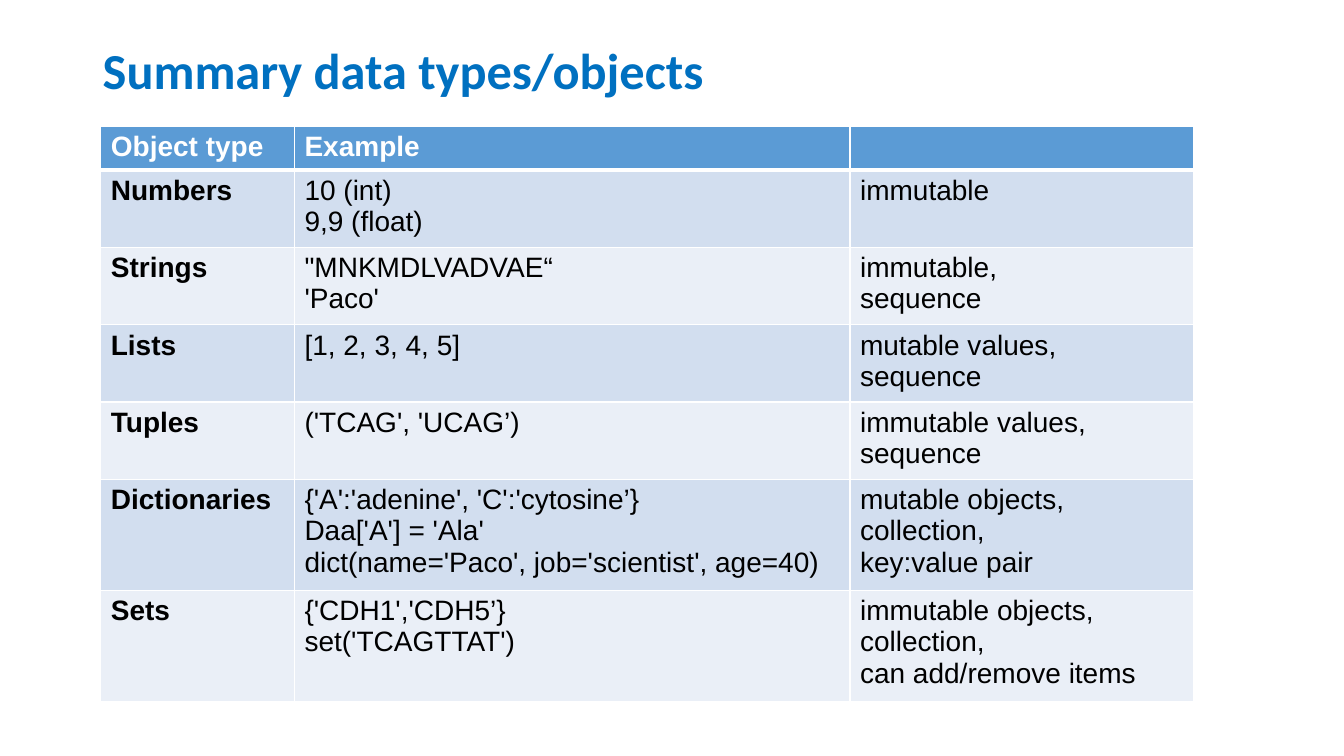
from typing import NamedTuple

from lxml.etree import SubElement
from pptx import Presentation
from pptx.dml.color import RGBColor
from pptx.enum.text import MSO_ANCHOR
from pptx.oxml.ns import qn
from pptx.util import Cm, Pt

BLUE = RGBColor(0x00, 0x70, 0xC0)
HEADER = RGBColor(0x5B, 0x9B, 0xD5)
BAND_DARK = RGBColor(0xD2, 0xDE, 0xEF)
BAND_LIGHT = RGBColor(0xEA, 0xEF, 0xF7)
WHITE = RGBColor(0xFF, 0xFF, 0xFF)
BLACK = RGBColor(0x00, 0x00, 0x00)


class DataType(NamedTuple):
    name: str
    examples: list[str]
    traits: list[str]
    height: float


COLUMN_WIDTHS = [4.88, 14.0, 8.66]
ROWS = [
    DataType("Object type", ["Example"], [], 1.09),
    DataType("Numbers", ["10 (int)", "9,9 (float)"], ["immutable"], 1.84),
    DataType("Strings", ['"MNKMDLVADVAE“', "'Paco'"],
             ["immutable,", "sequence"], 1.84),
    DataType("Lists", ["[1, 2, 3, 4, 5]"],
             ["mutable values,", "sequence"], 1.91),
    DataType("Tuples", ["('TCAG', 'UCAG’)"],
             ["immutable values,", "sequence"], 1.91),
    DataType("Dictionaries",
             ["{'A':'adenine', 'C':'cytosine’}", "Daa['A'] = 'Ala'",
              "dict(name='Paco', job='scientist', age=40)"],
             ["mutable objects,", "collection,", "key:value pair"], 2.62),
    DataType("Sets", ["{'CDH1','CDH5’}", "set('TCAGTTAT')"],
             ["immutable objects,", "collection,", "can add/remove items"], 2.62),
]


def add_run(p, text: str, font: str, size: int, color: RGBColor, bold: bool) -> None:
    r = p.add_run()
    r.text = text
    r.font.name = font
    r.font.size = Pt(size)
    r.font.color.rgb = color
    r.font.bold = bold


def add_border(cell, side: str, width: float) -> None:
    ln = SubElement(cell._tc.get_or_add_tcPr(), qn(f"a:ln{side}"), w=str(Pt(width)))
    fill = SubElement(ln, qn("a:solidFill"))
    SubElement(fill, qn("a:srgbClr"), val=str(WHITE))


def fill_cell(cell, lines: list[str], row: int, bold: bool) -> None:
    top = 3 if row == 1 else 1
    bottom = 3 if row == 0 else 1
    for side, width in zip("LRTB", (1, 1, top, bottom)):
        add_border(cell, side, width)
    cell.fill.solid()
    band = BAND_DARK if row % 2 else BAND_LIGHT
    cell.fill.fore_color.rgb = band if row else HEADER
    tf = cell.text_frame
    for i, line in enumerate(lines):
        p = tf.add_paragraph() if i else tf.paragraphs[0]
        add_run(p, line, "Arial", 20, BLACK if row else WHITE, bold)


def add_title(s, text: str) -> None:
    tf = s.shapes.add_textbox(Cm(2.34), Cm(0), Cm(29.21), Cm(3.68)).text_frame
    tf.word_wrap = True
    tf.vertical_anchor = MSO_ANCHOR.MIDDLE
    p = tf.paragraphs[0]
    p.line_spacing = 0.9
    add_run(p, text, "Calibri", 36, BLUE, True)


def add_summary(s, rows: list[DataType]) -> None:
    width = sum(COLUMN_WIDTHS)
    height = sum(row.height for row in rows)
    table = s.shapes.add_table(len(rows), len(COLUMN_WIDTHS), Cm(2.54), Cm(3.18),
                               Cm(width), Cm(height)).table
    for column, column_width in zip(table.columns, COLUMN_WIDTHS):
        column.width = Cm(column_width)
    for i, row in enumerate(rows):
        table.rows[i].height = Cm(row.height)
        for j, lines in enumerate(([row.name], row.examples, row.traits)):
            fill_cell(table.cell(i, j), lines, i, i == 0 or j == 0)


def main() -> None:
    prs = Presentation()
    prs.slide_width, prs.slide_height = Cm(33.87), Cm(19.05)
    s = prs.slides.add_slide(prs.slide_layouts[6])
    add_title(s, "Summary data types/objects")
    add_summary(s, ROWS)
    prs.save("out.pptx")


if __name__ == "__main__":
    main()
